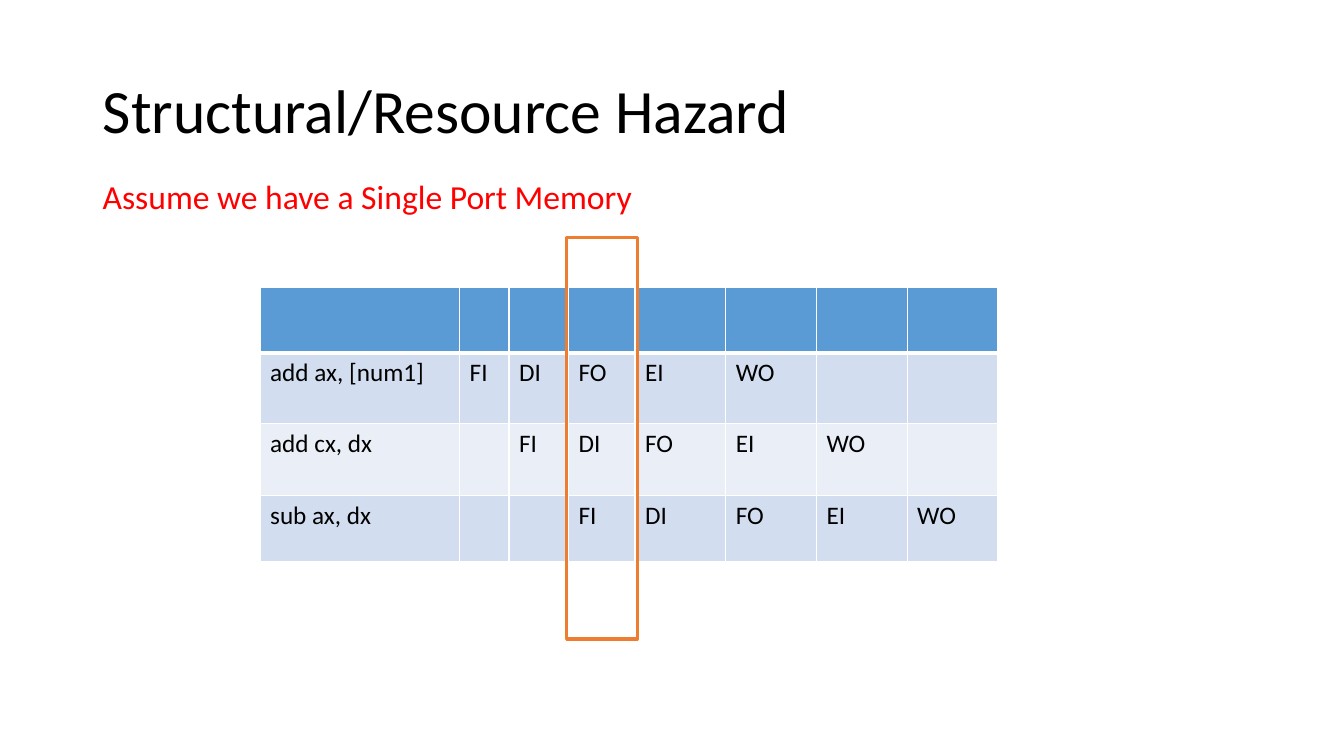
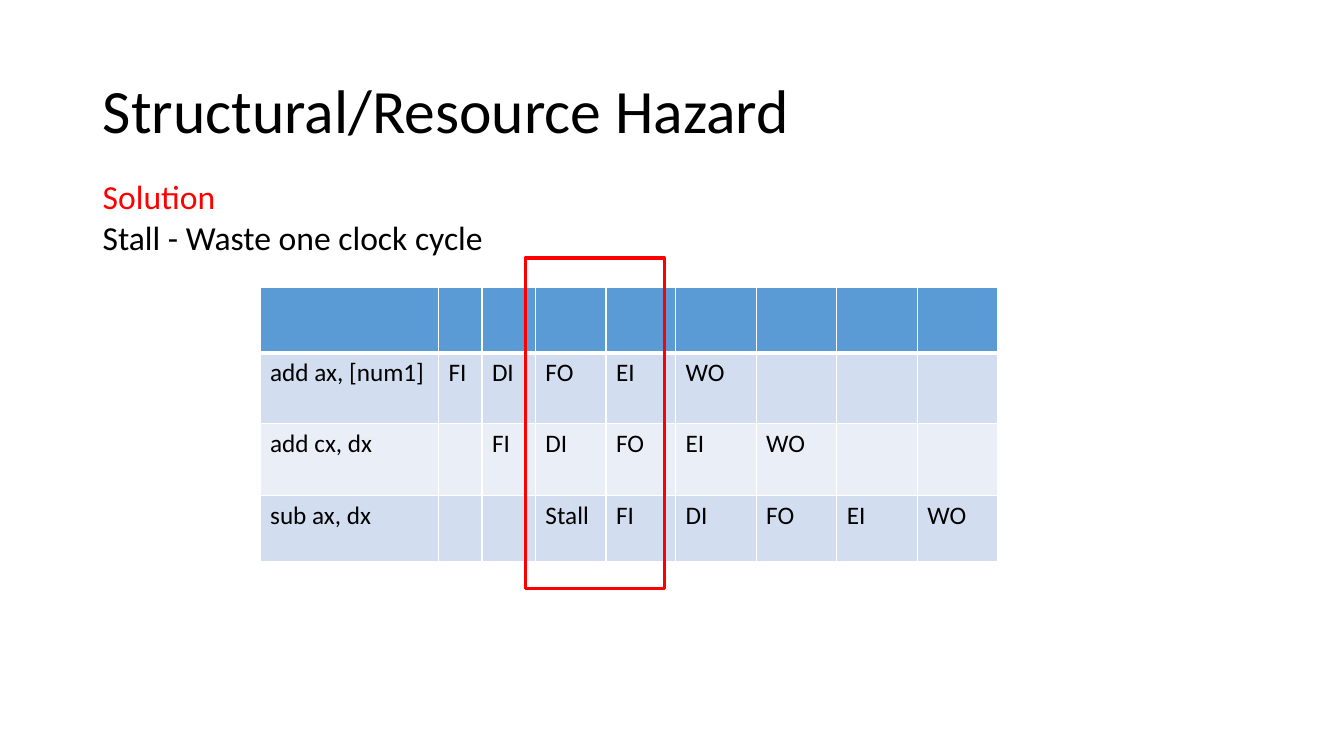
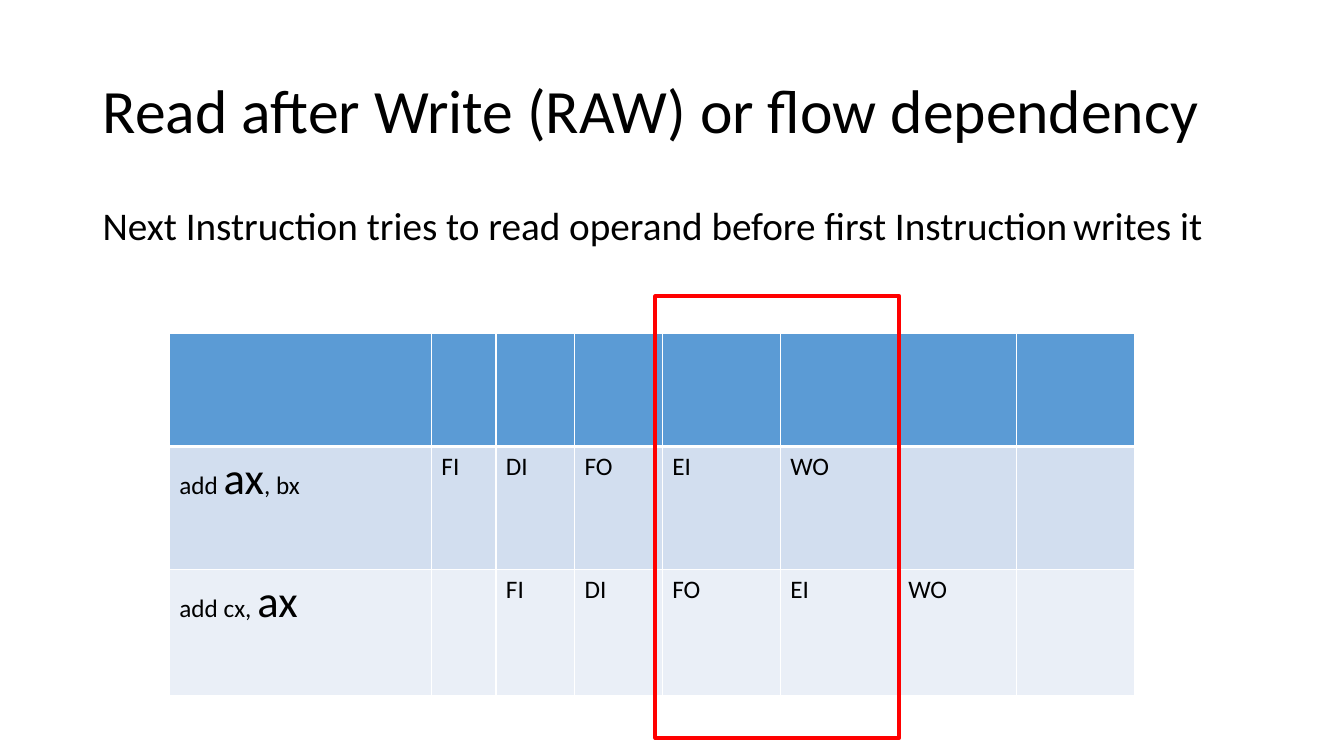
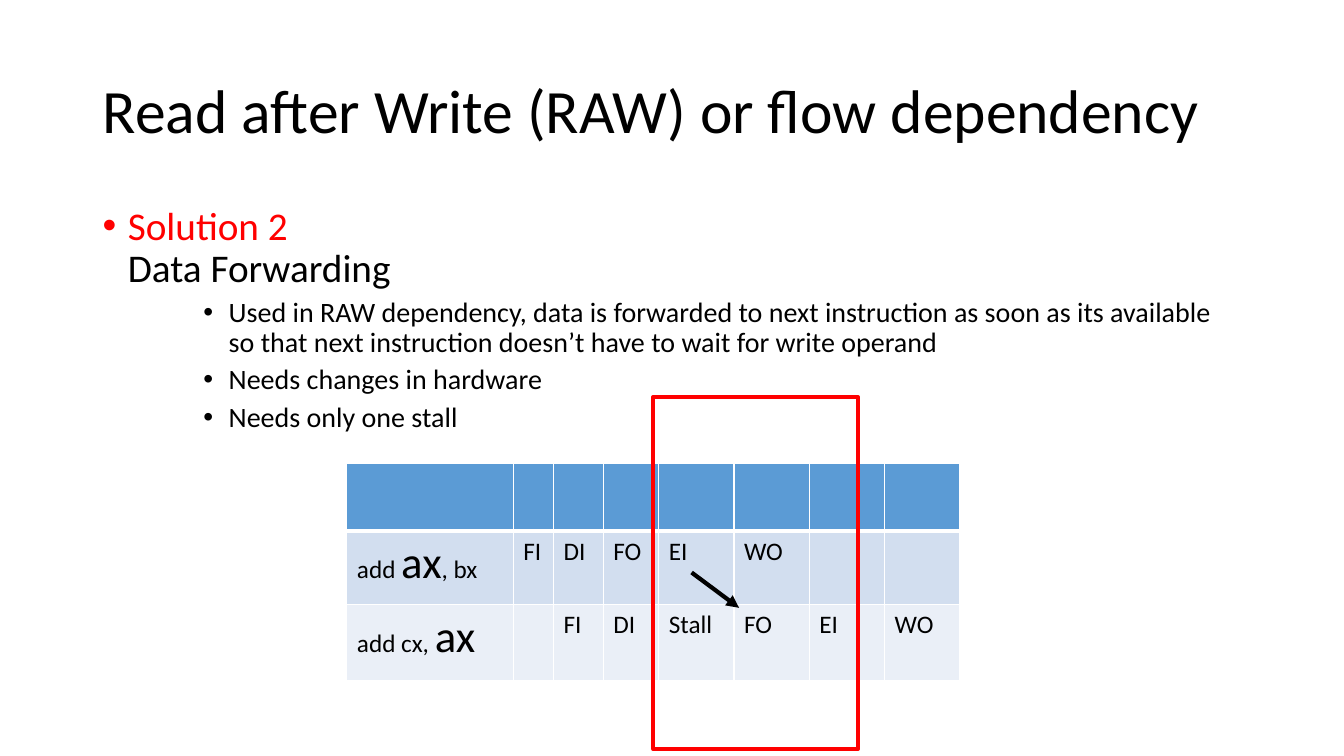
from lxml import etree
from pptx import Presentation, util as u
from pptx.dml.color import RGBColor
from pptx.enum import shapes, text
from pptx.oxml.ns import qn

# Shared style
FONT = "Calibri"
BLACK, WHITE, RED, ORANGE = "000000", "FFFFFF", "FF0000", "ED7D31"
HEADER, BANDS = "5B9BD5", ("D2DEEF", "EAEFF7")
rgb = RGBColor.from_string

prs = Presentation()
prs.slide_width, prs.slide_height = u.Inches(13.33), u.Inches(7.5)

# Grid of 100 columns by 100 rows over the slide
COL, ROW = prs.slide_width / 100, prs.slide_height / 100
TITLE_BOX = (6.9, 5.33, 86.27, 19.33)
NOTE_BOX = (6.9, 22.67, 43, 12)
BODY_BOX = (6.9, 26.67, 86.27, 63.47)


def place(*at):
    return [int(v * unit) for v, unit in zip(at, (COL, ROW, COL, ROW))]


def add_run(p, words, size, color=BLACK):
    r = p.add_run()
    r.text = words
    r.font.name, r.font.size = FONT, u.Pt(size)
    r.font.color.rgb = rgb(color)


# Content: a paragraph is (left indent or None, space before, runs);
# an instruction is (code, first clock cycle, stages), large operands between stars
STRUCTURAL = "Structural/Resource Hazard"
RAW = "Read after Write (RAW) or flow dependency"
STAGES = "FI DI FO EI WO"
FIRST_TWO = [("add ax, [num1]", 1, STAGES), ("add cx, dx", 2, STAGES)]
ADD_AX = ("add *ax*, bx", 1, STAGES)

pages = [
    dict(title=STRUCTURAL, box=NOTE_BOX, spacing=1.0,
         paragraphs=[(None, 0, [("Assume we have a Single Port Memory", 24, RED)])],
         corner=(19.35, 38), cols=[14.85, 3.68, 4.43, 4.95] + [6.75] * 4,
         rows=[8.67, 9.33, 9.6, 8.67],
         code=FIRST_TWO + [("sub ax, dx", 3, STAGES)],
         frame=(42.16, 31.47, 5.25, 53.07), line=(ORANGE, 2.25)),
    dict(title=STRUCTURAL, box=NOTE_BOX, spacing=1.0,
         paragraphs=[(None, 0, [("Solution", 24, RED)]),
                     (None, 0, [("Stall - Waste one clock cycle", 24, BLACK)])],
         corner=(19.35, 38), cols=[13.28, 3.23, 3.98, 5.25, 5.18] + [6] * 4,
         rows=[8.67, 9.33, 9.6, 8.67],
         code=FIRST_TWO + [("sub ax, dx", 3, "Stall " + STAGES)],
         frame=(39.08, 34.13, 10.35, 43.73), line=(RED, 2.25)),
    dict(title=RAW, box=BODY_BOX, spacing=0.9,
         paragraphs=[(None, 0, [("Next Instruction tries to read operand before "
                                 "first Instruction", 28, BLACK),
                                (" ", 18, BLACK), ("writes it", 28, BLACK)])],
         corner=(12.6, 44.13), cols=[19.5, 4.8, 5.85, 6.53] + [8.78] * 4,
         rows=[14.93, 16.27, 16.67],
         code=[ADD_AX, ("add cx, *ax*", 2, STAGES)],
         frame=(48.76, 39.2, 18.15, 58.4), line=(RED, 3)),
    dict(title=RAW, box=BODY_BOX, spacing=0.9,
         paragraphs=[(0.25, 0, [("Solution 2", 28, RED), ("\n", 28, RED),
                                ("Data Forwarding", 28, BLACK)])]
         + [(1.25, 5, [(words, 20, BLACK)]) for words in (
             "Used in RAW dependency, data is forwarded to next instruction as soon as "
             "its available so that next instruction doesn’t have to wait for write operand",
             "Needs changes in hardware",
             "Needs only one stall")],
         corner=(25.81, 61.33), cols=[12.38, 3, 3.7, 4.13] + [5.6] * 4,
         rows=[8.93, 9.73, 10],
         code=[ADD_AX, ("add cx, *ax*", 2, "FI DI Stall FO EI WO")],
         frame=(48.61, 52.53, 15.23, 46.53), line=(RED, 3),
         arrow=(51.46, 75.73, 54.99, 80.4)),
]

for page in pages:
    s = prs.slides.add_slide(prs.slide_layouts[5])

    # Title
    sp = s.shapes.title
    sp.left, sp.top, sp.width, sp.height = place(*TITLE_BOX)
    tf = sp.text_frame
    tf.vertical_anchor = text.MSO_ANCHOR.MIDDLE
    tf.auto_size = text.MSO_AUTO_SIZE.NONE
    p = tf.paragraphs[0]
    p.alignment, p.line_spacing = text.PP_ALIGN.LEFT, 0.9
    add_run(p, page["title"], 44)

    # Text under the title
    tf = s.shapes.add_textbox(*place(*page["box"])).text_frame
    tf.word_wrap = True
    for i, (indent, before, runs) in enumerate(page["paragraphs"]):
        p = tf.add_paragraph() if i else tf.paragraphs[0]
        p.line_spacing, p.space_before = page["spacing"], u.Pt(before)
        if indent:
            pPr = p._p.get_or_add_pPr()
            pPr.set("marL", str(u.Inches(indent)))
            pPr.set("indent", str(u.Inches(-0.25)))
            etree.SubElement(pPr, qn("a:buFont"), typeface="Arial")
            etree.SubElement(pPr, qn("a:buChar"), char="•")
        for words, size, color in runs:
            if words == "\n":
                p.add_line_break()
            else:
                add_run(p, words, size, color)

    # Pipeline table
    cols, rows = page["cols"], page["rows"]
    at = place(*page["corner"], sum(cols), sum(rows))
    table = s.shapes.add_table(len(rows), len(cols), *at).table
    for column, width in zip(table.columns, cols):
        column.width = int(width * COL)
    for row, height in zip(table.rows, rows):
        row.height = int(height * ROW)
    for i, row in enumerate(table.rows):
        for cell in row.cells:
            tcPr = cell._tc.get_or_add_tcPr()
            for side in "LRTB":
                thick = (i, side) in ((0, "B"), (1, "T"))
                ln = etree.SubElement(tcPr, qn("a:ln" + side),
                                      w=str(u.Pt(3 if thick else 1)))
                fill = etree.SubElement(ln, qn("a:solidFill"))
                etree.SubElement(fill, qn("a:srgbClr"), val=WHITE)
            cell.fill.solid()
            cell.fill.fore_color.rgb = rgb(BANDS[(i - 1) % 2] if i else HEADER)

    # Instructions and their stages
    for i, (code, start, stages) in enumerate(page["code"], 1):
        p = table.cell(i, 0).text_frame.paragraphs[0]
        for k, words in enumerate(code.split("*")):
            if words:
                add_run(p, words, 32 if k % 2 else 18)
        for j, stage in enumerate(stages.split(), start):
            add_run(table.cell(i, j).text_frame.paragraphs[0], stage, 18)

    # Frame around the conflicting cycles
    color, width = page["line"]
    sp = s.shapes.add_shape(shapes.MSO_SHAPE.RECTANGLE, *place(*page["frame"]))
    sp.shadow.inherit = False
    sp.fill.background()
    sp.line.color.rgb, sp.line.width = rgb(color), u.Pt(width)

    # Forwarding arrow
    if "arrow" in page:
        arrow = s.shapes.add_connector(shapes.MSO_CONNECTOR.STRAIGHT,
                                       *place(*page["arrow"]))
        arrow.line.color.rgb, arrow.line.width = rgb(BLACK), u.Pt(3)
        etree.SubElement(arrow.line._get_or_add_ln(), qn("a:tailEnd"), type="triangle")
        etree.SubElement(arrow._element.spPr, qn("a:effectLst"))

prs.save("out.pptx")
